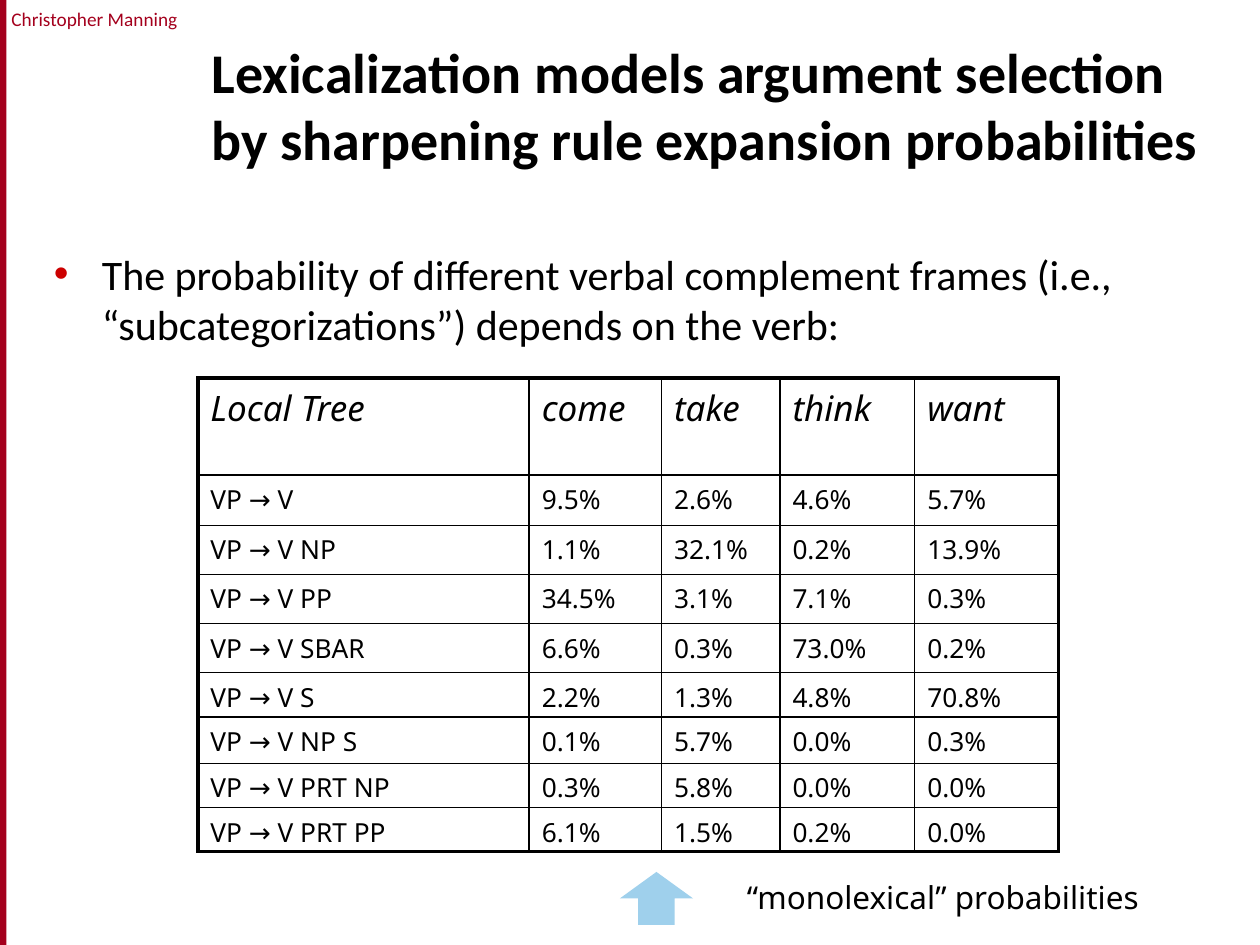
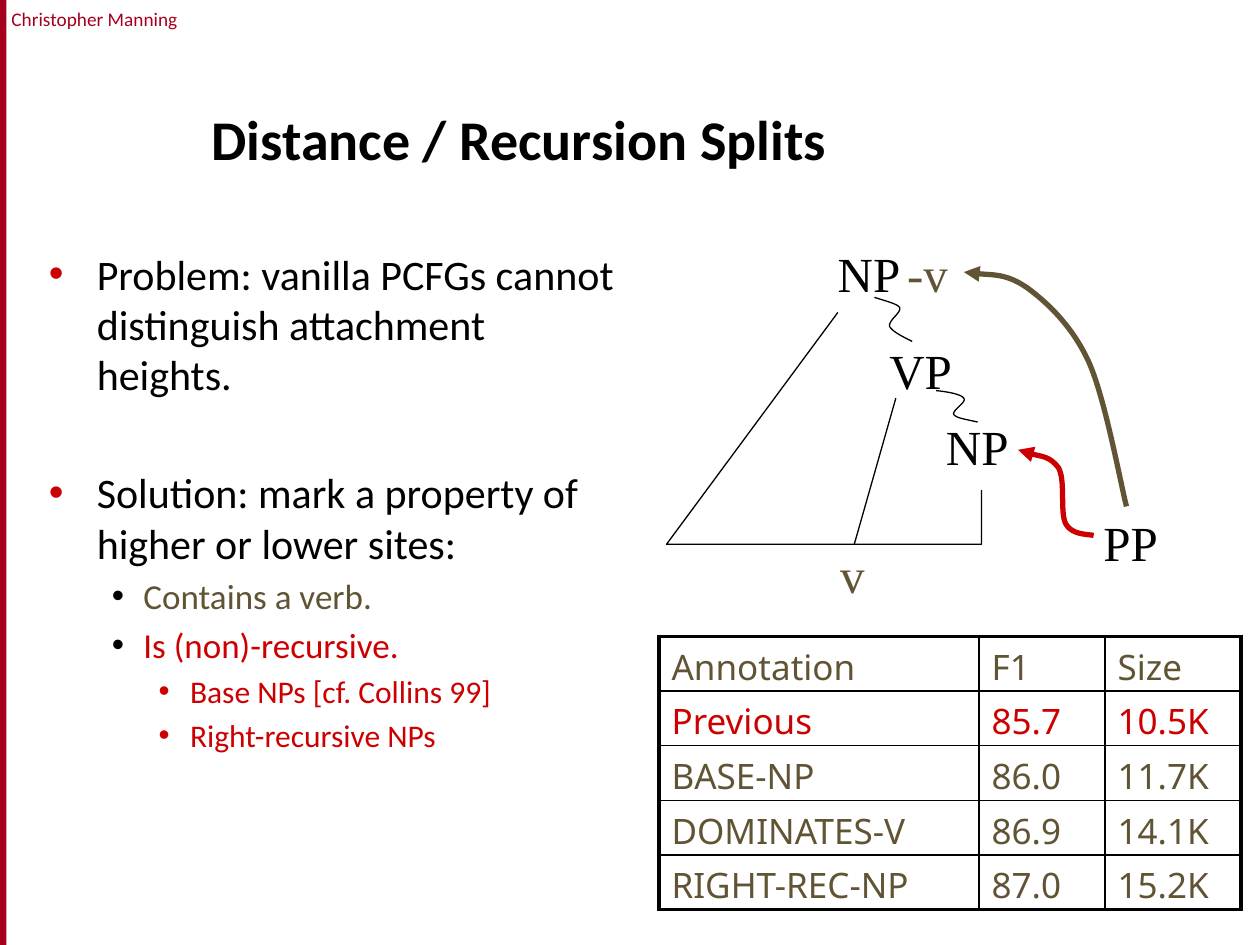
from lxml.etree import SubElement
from pptx import Presentation
from pptx.dml.color import RGBColor
from pptx.enum.shapes import MSO_CONNECTOR, MSO_SHAPE
from pptx.enum.text import MSO_ANCHOR, PP_ALIGN
from pptx.oxml.ns import qn
from pptx.util import Inches, Pt

BLACK = RGBColor(0x00, 0x00, 0x00)
CARDINAL = RGBColor(0xA4, 0x00, 0x1D)
RED = RGBColor(0xCC, 0x00, 0x00)
OLIVE = RGBColor(0x60, 0x54, 0x35)
SKY = RGBColor(0x9F, 0xD0, 0xEC)

BODY, SANS, SERIF = "Calibri", "Noto Sans", "Times New Roman"
THIN, THICK = 1, 2.25

# Bullet levels: (left margin, hanging indent, text size, bullet colour)
LEVELS = [(0.38, 0.38, 24, RED), (0.75, 0.25, 20, BLACK), (1.12, 0.25, 18, RED)]


def box(values):
    return [Inches(v) for v in values]


def add_run(p, text, **style):
    r = p.add_run()
    r.text = text
    color = style.pop("color", BLACK)
    for name, value in style.items():
        setattr(r.font, name, value)
    r.font.color.rgb = color


def add_text(shapes, at, text="", frame=None, align=PP_ALIGN.LEFT, **style):
    """Add a text box; frame holds text frame settings."""
    tf = shapes.add_textbox(*box(at)).text_frame
    for name, value in {"word_wrap": True, **(frame or {})}.items():
        setattr(tf, name, value)
    if text:
        tf.paragraphs[0].alignment = align
        add_run(tf.paragraphs[0], text, **style)
    return tf


def add_solid(shapes, preset, at, color):
    sp = shapes.add_shape(preset, *box(at))
    sp.shadow.inherit = False
    sp.fill.solid()
    sp.fill.fore_color.rgb = color
    sp.line.fill.background()


def add_slide(prs, title):
    """Blank slide with the side band, author name and title."""
    s = prs.slides.add_slide(prs.slide_layouts[6])
    add_text(s.shapes, (0.04, 0.01, 1.42, 0.29), "Christopher Manning",
             {"margin_left": 0, "margin_right": 0}, PP_ALIGN.CENTER,
             name=BODY, size=Pt(11), color=CARDINAL)
    add_solid(s.shapes, MSO_SHAPE.RECTANGLE, (0, 0, 0.05, 7.5), CARDINAL)
    add_text(s.shapes, (1.58, 0.33, 8.08, 1.08), title,
             {"vertical_anchor": MSO_ANCHOR.BOTTOM},
             name=BODY, size=Pt(32), bold=True)
    return s


def add_bullets(s, at, items, frame=None):
    """Items are (level, text, colour, space before in points or None)."""
    tf = add_text(s.shapes, at, frame=frame)
    for i, (level, text, color, gap) in enumerate(items):
        p = tf.add_paragraph() if i else tf.paragraphs[0]
        margin, hang, size, bullet_color = LEVELS[level]
        p.level = level
        if i:
            p.space_before = Pt(gap or 0.2 * size)
        pPr = p._p.get_or_add_pPr()
        pPr.set("marL", str(Inches(margin)))
        pPr.set("indent", str(-Inches(hang)))
        clr = SubElement(pPr, qn("a:buClr"))
        SubElement(clr, qn("a:srgbClr"), val=str(bullet_color))
        SubElement(pPr, qn("a:buFont"), typeface="Arial")
        SubElement(pPr, qn("a:buChar"), char="•")
        add_run(p, text, name=BODY, size=Pt(size), color=color)


def set_borders(cell, widths):
    tcPr = cell._tc.get_or_add_tcPr()
    for side, width in widths.items():
        ln = SubElement(tcPr, qn(f"a:ln{side}"), w=str(Pt(width)))
        fill = SubElement(ln, qn("a:solidFill"))
        SubElement(fill, qn("a:srgbClr"), val=str(BLACK))


def add_grid(s, at, cols, rows, data, row_style):
    """Table with thin inner lines and a thick frame."""
    shape = s.shapes.add_table(len(rows), len(cols), *box(at))
    table = shape.table
    table.first_row = table.horz_banding = False
    for col, width in zip(table.columns, cols):
        col.width = Inches(width)
    for i, (row, height) in enumerate(zip(table.rows, rows)):
        row.height = Inches(height)
        for j, cell in enumerate(row.cells):
            add_run(cell.text_frame.paragraphs[0], data[i][j],
                    name=SANS, **row_style(i))
            set_borders(cell, {
                "L": THIN if j else THICK,
                "R": THIN if j < len(cols) - 1 else THICK,
                "T": THIN if i else THICK,
                "B": THIN if i < len(rows) - 1 else THICK})
            cell.fill.background()


def add_outline(s, points, color=BLACK, width=0.75, curved=False, arrow=False):
    """Open path; a curved one reads each three points as a Bezier segment."""
    start, *rest = [box(pt) for pt in points]
    builder = s.shapes.build_freeform(*start)
    builder.add_line_segments(rest, close=False)
    sp = builder.convert_to_shape()
    sp.shadow.inherit = False
    sp.fill.background()
    sp.line.color.rgb = color
    sp.line.width = Pt(width)
    if curved:
        path_el = next(sp._element.iter(qn("a:path")))
        lines = path_el.findall(qn("a:lnTo"))
        for k in range(0, len(lines), 3):
            curve = SubElement(path_el, qn("a:cubicBezTo"))
            for line in lines[k:k + 3]:
                curve.append(line[0])
                path_el.remove(line)
    if arrow:
        SubElement(sp.line._get_or_add_ln(), qn("a:tailEnd"), type="triangle")


def add_verb_table(s, at):
    trees = ["V", "V NP", "V PP", "V SBAR", "V S", "V NP S", "V PRT NP", "V PRT PP"]
    rates = ["9.5 2.6 4.6 5.7", "1.1 32.1 0.2 13.9", "34.5 3.1 7.1 0.3",
             "6.6 0.3 73.0 0.2", "2.2 1.3 4.8 70.8", "0.1 5.7 0.0 0.3",
             "0.3 5.8 0.0 0.0", "6.1 1.5 0.2 0.0"]
    data = [["Local Tree", "come", "take", "think", "want"]]
    data += [[f"VP → {tree}"] + [f"{rate}%" for rate in row.split()]
             for tree, row in zip(trees, rates)]
    add_grid(s, at, [2.63, 1.05, 0.94, 1.07, 1.14],
             [0.77, 0.4, 0.39, 0.39, 0.39, 0.35, 0.37, 0.35, 0.35], data,
             lambda i: {"size": Pt(15 if i else 20), "italic": i == 0})


def add_table_note(s, left, top):
    group = s.shapes.add_group_shape()
    add_text(group.shapes, (left + 0.91, top, 3.49, 0.4),
             "“monolexical” probabilities", {"word_wrap": False},
             name=SANS, size=Pt(18))
    add_solid(group.shapes, MSO_SHAPE.UP_ARROW, (left, top, 0.58, 0.42), SKY)


def add_attachment_tree(s, left, top):
    def shift(points):
        return [(left + x, top + y) for x, y in points]

    # Node labels
    for text, x, y, width, color in [
            ("NP", 1.26, 0, 0.72, BLACK), ("VP", 1.67, 0.77, 0.76, BLACK),
            ("PP", 3.37, 2.14, 0.76, BLACK), ("NP", 2.12, 1.38, 0.76, BLACK),
            ("v", 1.28, 2.39, 0.38, OLIVE), ("-v", 1.81, 0, 0.59, OLIVE)]:
        add_text(s.shapes, (left + x, top + y, width, 0.57), text,
                 name=SERIF, size=Pt(28), color=color)

    # Triangle and its inner edge
    add_outline(s, shift([(1.36, 0.6), (0, 2.44), (2.5, 2.44), (2.5, 2.01)]))
    (x1, y1), (x2, y2) = shift([(1.82, 1.28), (1.49, 2.44)])
    edge = s.shapes.add_connector(MSO_CONNECTOR.STRAIGHT, *box((x1, y1, x2, y2)))
    edge.line.color.rgb = BLACK
    edge.line.width = Pt(0.75)
    SubElement(edge._element.spPr, qn("a:effectLst"))

    # Wavy paths between the nodes
    for wave in [
            [(1.65, 0.48), (1.74, 0.51), (1.83, 0.53), (1.85, 0.56),
             (1.87, 0.6), (1.76, 0.66), (1.77, 0.71),
             (1.79, 0.75), (1.87, 0.79), (1.95, 0.83)],
            [(2.14, 1.22), (2.24, 1.23), (2.34, 1.25), (2.36, 1.28),
             (2.39, 1.31), (2.26, 1.38), (2.28, 1.41),
             (2.3, 1.44), (2.39, 1.45), (2.47, 1.47)]]:
        add_outline(s, shift(wave), curved=True)

    # Attachment arrows from PP: high and low
    high = [(3.65, 2.14), (3.6, 1.94), (3.48, 1.28), (3.35, 0.99),
            (3.22, 0.71), (3.03, 0.53), (2.87, 0.41),
            (2.7, 0.29), (2.47, 0.3), (2.36, 0.28)]
    low = [(3.39, 2.37), (3.36, 2.36), (3.22, 2.37), (3.17, 2.28),
           (3.12, 2.19), (3.17, 1.93), (3.11, 1.83),
           (3.04, 1.74), (2.86, 1.72), (2.79, 1.69)]
    for points, color in [(high, OLIVE), (low, RED)]:
        add_outline(s, shift(points), color, 3, curved=True, arrow=True)


def add_score_table(s, at):
    data = [["Annotation", "F1", "Size"], ["Previous", "85.7", "10.5K"],
            ["BASE-NP", "86.0", "11.7K"], ["DOMINATES-V", "86.9", "14.1K"],
            ["RIGHT-REC-NP", "87.0", "15.2K"]]
    add_grid(s, at, [2.54, 1, 1.08], [0.4] * len(data), data,
             lambda i: {"size": Pt(20), "color": RED if i == 1 else OLIVE})


def build_lexicalization(prs):
    s = add_slide(prs, "Lexicalization models argument selection "
                       "by sharpening rule expansion probabilities")
    add_verb_table(s, (1.57, 3, 6.84, 3.77))
    add_bullets(s, (0.33, 1.97, 9.33, 4.86), [
        (0, "The probability of different verbal complement frames (i.e., "
            "“subcategorizations”) depends on the verb:", BLACK, None)],
        {"margin_top": 0})
    add_table_note(s, 4.92, 6.92)


def build_splits(prs):
    s = add_slide(prs, "Distance / Recursion Splits")
    add_bullets(s, (0.29, 1.92, 4.77, 5.33), [
        (0, "Problem: vanilla PCFGs cannot distinguish attachment heights.", BLACK, None),
        (0, "Solution: mark a property of higher or lower sites:", BLACK, 38.5),
        (1, "Contains a verb.", OLIVE, None),
        (1, "Is (non)-recursive.", RED, None),
        (2, "Base NPs [cf. Collins 99]", RED, None),
        (2, "Right-recursive NPs", RED, None)])
    add_score_table(s, (5.23, 5.05, 4.63, 2.17))
    add_attachment_tree(s, 5.29, 1.88)


def main():
    prs = Presentation()
    prs.slide_width, prs.slide_height = Inches(10), Inches(7.5)
    build_lexicalization(prs)
    build_splits(prs)
    prs.save("out.pptx")


if __name__ == "__main__":
    main()
